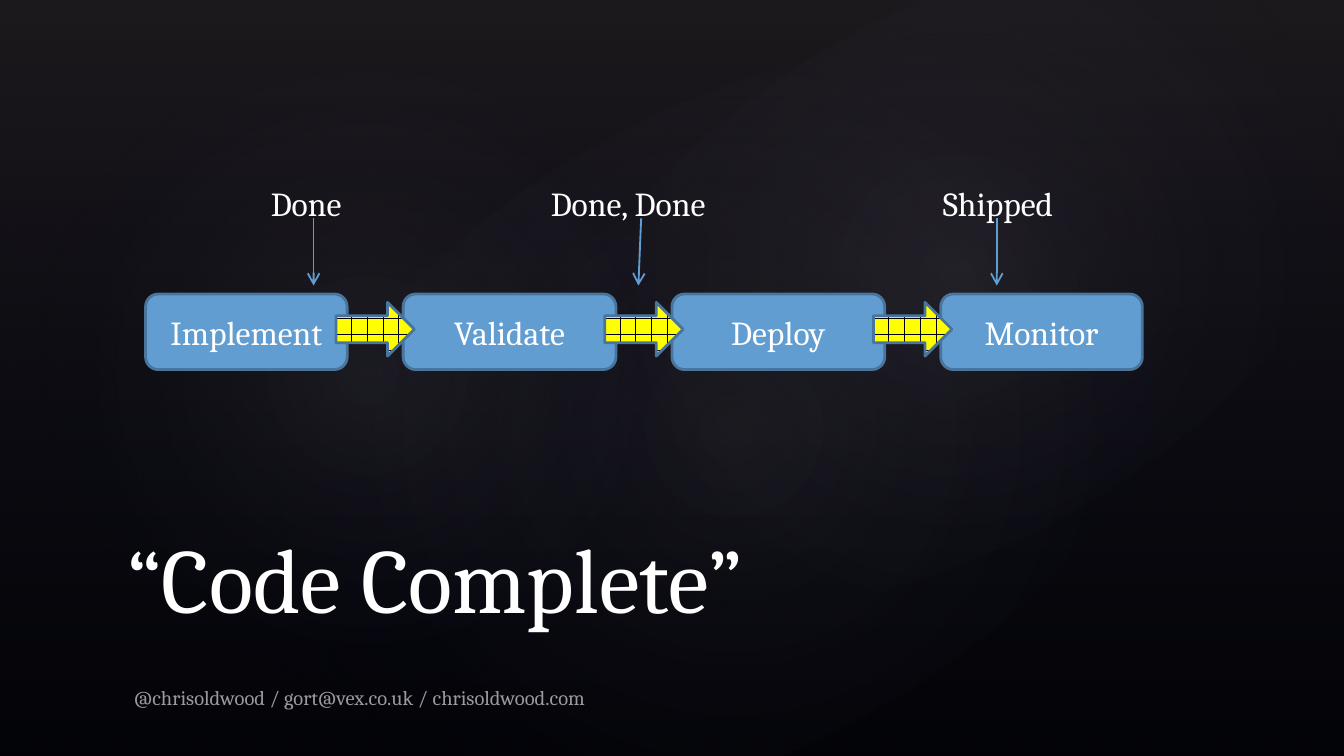
from lxml import etree
from pptx import Presentation, util as u
from pptx.dml.color import RGBColor
from pptx.enum import dml, shapes, text
from pptx.oxml import parse_xml
from pptx.oxml.ns import qn

COLORS = {"black": "000000", "white": "FFFFFF", "navy": "242852", "plum": "504652",
          "mist": "C4BCC6", "blue": "629DD1", "edge": "49749B", "yellow": "FFFF00"}
FONT = "Cambria"
DRAWING = "http://schemas.openxmlformats.org/drawingml/2006/main"
SIZE = (720, 405)
TITLE = ("“Code Complete”", (61.2, 288, 617, 54))
FOOTER = ("@chrisoldwood / gort@vex.co.uk / chrisoldwood.com", (64.8, 363.6, 360, 21.6))
GLOWS = [((108, 61.2, 570.24, 336.96), 328.7, 7),
         ((33.12, 24.48, 326.88, 352.8), 294.3, 8),
         ((257.76, 7.2, 510.48, 280.8), 328.7, 8)]
STAGES = [("Implement", 78, 108), ("Validate", 216, 114),
          ("Deploy", 360, 114), ("Monitor", 504, 108)]
MILESTONES = [("Done", 138, 57.6, 168, 168), ("Done, Done", 288, 110.16, 343.5, 342),
              ("Shipped", 498, 82, 534, 534)]
STAGE_TOP, STAGE_HEIGHT = 157.5, 40.5
ARROW_TOP, ARROW_SIZE, ARROW_OVERLAP = 162, (42, 28.8), 6
LABEL_TOP, LABEL_HEIGHT = 94.5, 29
POINTER_TOP, POINTER_BOTTOM = 117, 153


def rgb(name):
    """Return a named colour."""
    return RGBColor.from_string(COLORS[name])


def points(values):
    """Convert numbers to point lengths."""
    return [u.Pt(value) for value in values]


def add_outlined(page, kind, place):
    """Add a preset shape with the common outline."""
    shape = page.shapes.add_shape(kind, *points(place))
    shape.shadow.inherit = False
    shape.line.color.rgb = rgb("edge")
    shape.line.width = u.Pt(1.5)
    return shape


def add_gradient(page, kind, place, stops, direction, rotation=0):
    """Add an unlined shape with a translucent gradient."""
    shape = page.shapes.add_shape(kind, *points(place))
    shape.shadow.inherit = False
    shape.line.fill.background()
    shape.rotation = rotation
    marks = "".join(
        f'<a:gs pos="{at * 1000}"><a:srgbClr val="{COLORS[name]}">'
        f'<a:alpha val="{alpha * 1000}"/></a:srgbClr></a:gs>' for at, name, alpha in stops)
    shape.fill.background()
    blank = shape.element.spPr.find(qn("a:noFill"))
    blank.addnext(parse_xml(f'<a:gradFill xmlns:a="{DRAWING}" rotWithShape="1">'
                            f'<a:gsLst>{marks}</a:gsLst>{direction}</a:gradFill>'))
    shape.element.spPr.remove(blank)
    return shape


def write(box, words, size, **frame_format):
    """Write one formatted paragraph and return its span."""
    frame = box.text_frame
    for name, value in frame_format.items():
        setattr(frame, name, value)
    para = frame.paragraphs[0]
    para.alignment = text.PP_ALIGN.LEFT
    span = para.add_run()
    for name, value in {"name": FONT, "size": u.Pt(size)}.items():
        setattr(span.font, name, value)
    span.text = words
    span.font.color.rgb = rgb("white")
    return span


def add_backdrop(page):
    """Draw the dark gradient and its glows, then put the title above them."""
    page.background.fill.solid()
    page.background.fill.fore_color.rgb = rgb("black")
    add_gradient(page, shapes.MSO_SHAPE.RECTANGLE, (0, 0, *SIZE),
                 [(0, "plum", 36), (100, "navy", 10)], '<a:lin ang="5400000" scaled="0"/>')
    center = ('<a:path path="circle"><a:fillToRect l="50000" t="50000" '
              'r="50000" b="50000"/></a:path>')
    for place, rotation, alpha in GLOWS:
        glow = add_gradient(page, shapes.MSO_SHAPE.OVAL, place,
                            [(0, "mist", alpha), (58, "navy", 0)], center, rotation)
    glow.element.addnext(page.shapes.title.element)


def add_headings(page):
    """Fill in the title and the contact line."""
    words, place = TITLE
    title = page.shapes.title
    for name, value in zip(("left", "top", "width", "height"), points(place)):
        setattr(title, name, value)
    write(title, words, 49, vertical_anchor=text.MSO_ANCHOR.BOTTOM, word_wrap=True,
          auto_size=text.MSO_AUTO_SIZE.NONE)
    words, place = FOOTER
    span = write(page.shapes.add_textbox(*points(place)), words, 11, word_wrap=True)
    color = span.font.fill.fore_color
    color.rgb = rgb("white")
    for tint in span.font._element.iter(qn("a:srgbClr")):
        etree.SubElement(tint, qn("a:alpha"), val="60000")


def add_flow(page):
    """Draw the stages and the block arrows between them."""
    for words, left, width in STAGES:
        box = add_outlined(page, shapes.MSO_SHAPE.ROUNDED_RECTANGLE,
                           (left, STAGE_TOP, width, STAGE_HEIGHT))
        box.fill.solid()
        box.fill.fore_color.rgb = rgb("blue")
        write(box, words, 18, vertical_anchor=text.MSO_ANCHOR.MIDDLE, word_wrap=True)
        box.text_frame.paragraphs[0].alignment = text.PP_ALIGN.CENTER
    for _, left, _ in STAGES[1:]:
        start = left + ARROW_OVERLAP - ARROW_SIZE[0]
        arrow = add_outlined(page, shapes.MSO_SHAPE.RIGHT_ARROW,
                             (start, ARROW_TOP, *ARROW_SIZE))
        arrow.fill.patterned()
        arrow.fill.pattern = dml.MSO_PATTERN.HORIZONTAL_BRICK
        arrow.fill.fore_color.rgb = rgb("black")
        arrow.fill.back_color.rgb = rgb("yellow")


def add_milestones(page):
    """Label the milestones and point from each to the flow."""
    for words, left, width, start, end in MILESTONES:
        label = page.shapes.add_textbox(*points((left, LABEL_TOP, width, LABEL_HEIGHT)))
        write(label, words, 18, word_wrap=False,
              auto_size=text.MSO_AUTO_SIZE.SHAPE_TO_FIT_TEXT)
        pointer = page.shapes.add_connector(
            shapes.MSO_CONNECTOR.STRAIGHT,
            *points((start, POINTER_TOP, end, POINTER_BOTTOM)))
        pointer.line.color.rgb = rgb("blue")
        pointer.line.width = u.Pt(1)
        etree.SubElement(pointer.line._get_or_add_ln(), qn("a:tailEnd"), type="arrow")
        etree.SubElement(pointer.element.spPr, qn("a:effectLst"))


def main():
    """Build and save the slide."""
    deck = Presentation()
    deck.slide_width, deck.slide_height = points(SIZE)
    page = deck.slides.add_slide(deck.slide_layouts[5])
    add_backdrop(page)
    add_headings(page)
    add_flow(page)
    add_milestones(page)
    deck.save("out.pptx")


if __name__ == "__main__":
    main()
